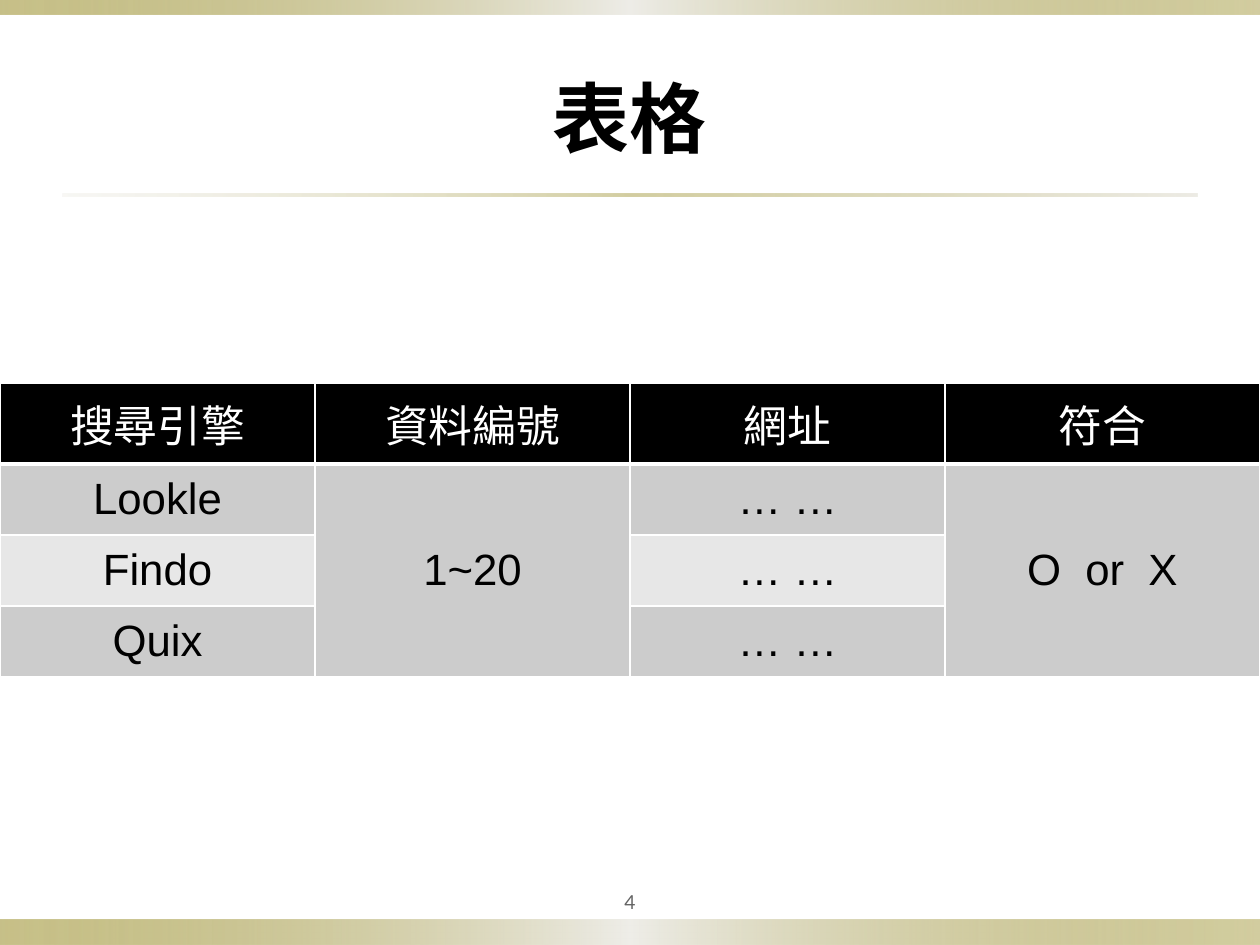
import dataclasses

import lxml.etree
import pptx
import pptx.dml.color
import pptx.enum.shapes
import pptx.enum.text
import pptx.oxml.ns
import pptx.util

Cm = pptx.util.Cm
Pt = pptx.util.Pt
qn = pptx.oxml.ns.qn
MIDDLE = pptx.enum.text.MSO_ANCHOR.MIDDLE


@dataclasses.dataclass(frozen=True)
class Theme:
    heading_font: str = "Arial"
    number_font: str = "Lato"
    title_size: int = 44
    table_size: int = 25
    number_size: int = 11
    black: str = "000000"
    white: str = "FFFFFF"
    grey: str = "636363"
    dark_band: str = "CCCCCC"
    light_band: str = "E7E7E7"
    bar_stops: tuple = ((0, "918415", 50), (50, "EEEDE8", 100), (100, "918415", 40))
    rule_stops: tuple = ((0, "DCD9CC", 20), (50, "918415", 40), (100, "DCD9CC", 50))


def rgb(value):
    return pptx.dml.color.RGBColor.from_string(value)


class SlideBuilder:
    def __init__(self, page, theme):
        self.page = page
        self.theme = theme

    def add_text(self, frame, text, size, color, font, bold=False):
        para = frame.paragraphs[0]
        para.alignment = pptx.enum.text.PP_ALIGN.CENTER
        span = para.add_run()
        span.text = text
        span.font.size = Pt(size)
        span.font.name = font
        span.font.bold = bold
        span.font.color.rgb = rgb(color)

    def gradient_bar(self, left, top, width, height, stops):
        bar = self.page.shapes.add_shape(
            pptx.enum.shapes.MSO_SHAPE.RECTANGLE, Cm(left), Cm(top), Cm(width), Cm(height))
        bar.shadow.inherit = False
        bar.line.fill.background()
        bar.fill.gradient()
        bar.fill.gradient_angle = 0
        stop_list = next(bar.element.iter(qn("a:gsLst")))
        for stop in list(stop_list):
            stop_list.remove(stop)
        for position, color, opacity in stops:
            stop = lxml.etree.SubElement(stop_list, qn("a:gs"), pos=str(position * 1000))
            tint = lxml.etree.SubElement(stop, qn("a:srgbClr"), val=color)
            lxml.etree.SubElement(tint, qn("a:alpha"), val=str(opacity * 1000))

    def title(self, text, left, top, width, height):
        box = self.page.shapes.title
        box.left, box.top, box.width, box.height = map(Cm, (left, top, width, height))
        box.text_frame.vertical_anchor = MIDDLE
        self.add_text(box.text_frame, text, self.theme.title_size, self.theme.black,
                      self.theme.heading_font, bold=True)

    def page_number(self, text, left, top, width, height):
        box = self.page.shapes.add_textbox(Cm(left), Cm(top), Cm(width), Cm(height))
        frame = box.text_frame
        frame.word_wrap = True
        frame.vertical_anchor = MIDDLE
        frame.margin_left = frame.margin_right = Cm(0.13)
        frame.margin_top = frame.margin_bottom = Cm(0.13)
        self.add_text(frame, text, self.theme.number_size, self.theme.grey,
                      self.theme.number_font)

    def borders(self, cell, widths):
        properties = cell._tc.get_or_add_tcPr()
        for index, (side, width) in enumerate(widths.items()):
            line = properties.makeelement(qn("a:ln" + side), {"w": str(Pt(width))})
            fill = lxml.etree.SubElement(line, qn("a:solidFill"))
            lxml.etree.SubElement(fill, qn("a:srgbClr"), val=self.theme.white)
            properties.insert(index, line)

    def table(self, rows, merged_columns, left, top, width, row_height):
        theme = self.theme
        table = self.page.shapes.add_table(
            len(rows), len(rows[0]), Cm(left), Cm(top), Cm(width),
            Cm(row_height * len(rows))).table
        table.first_row = table.horz_banding = False
        for r, row in enumerate(rows):
            table.rows[r].height = Cm(row_height)
            band = theme.dark_band if r % 2 else theme.light_band
            for c, text in enumerate(row):
                cell = table.cell(r, c)
                cell.vertical_anchor = MIDDLE
                cell.margin_left = cell.margin_right = Cm(0.36)
                cell.margin_top = cell.margin_bottom = Cm(0.18)
                cell.fill.solid()
                cell.fill.fore_color.rgb = rgb(theme.black if r == 0 else band)
                self.borders(cell, {"L": 1, "R": 1, "T": 3 if r == 1 else 1,
                                    "B": 3 if r == 0 else 1})
                if text:
                    self.add_text(cell.text_frame, text, theme.table_size,
                                  theme.white if r == 0 else theme.black, theme.heading_font)
        for c in merged_columns:
            table.cell(1, c).merge(table.cell(len(rows) - 1, c))


deck = pptx.Presentation()
deck.slide_width = Cm(25.4)
deck.slide_height = Cm(19.05)
theme = Theme()
builder = SlideBuilder(deck.slides.add_slide(deck.slide_layouts[5]), theme)

builder.gradient_bar(0, 18.54, 25.4, 0.51, theme.bar_stops)
builder.gradient_bar(0, 0, 25.4, 0.3, theme.bar_stops)
builder.gradient_bar(1.27, 3.91, 22.86, 0.05, theme.rule_stops)
builder.title("表格", 1.27, 0.76, 22.86, 3.18)
builder.table([
    ["搜尋引擎", "資料編號", "網址", "符合"],
    ["Lookle", "1~20", "… …", "O  or  X"],
    ["Findo", "", "… …", ""],
    ["Quix", "", "… …", ""],
], (1, 3), 0, 7.72, 25.4, 1.43)
builder.page_number("4", 11.43, 17.78, 2.54, 0.79)

deck.save("out.pptx")
